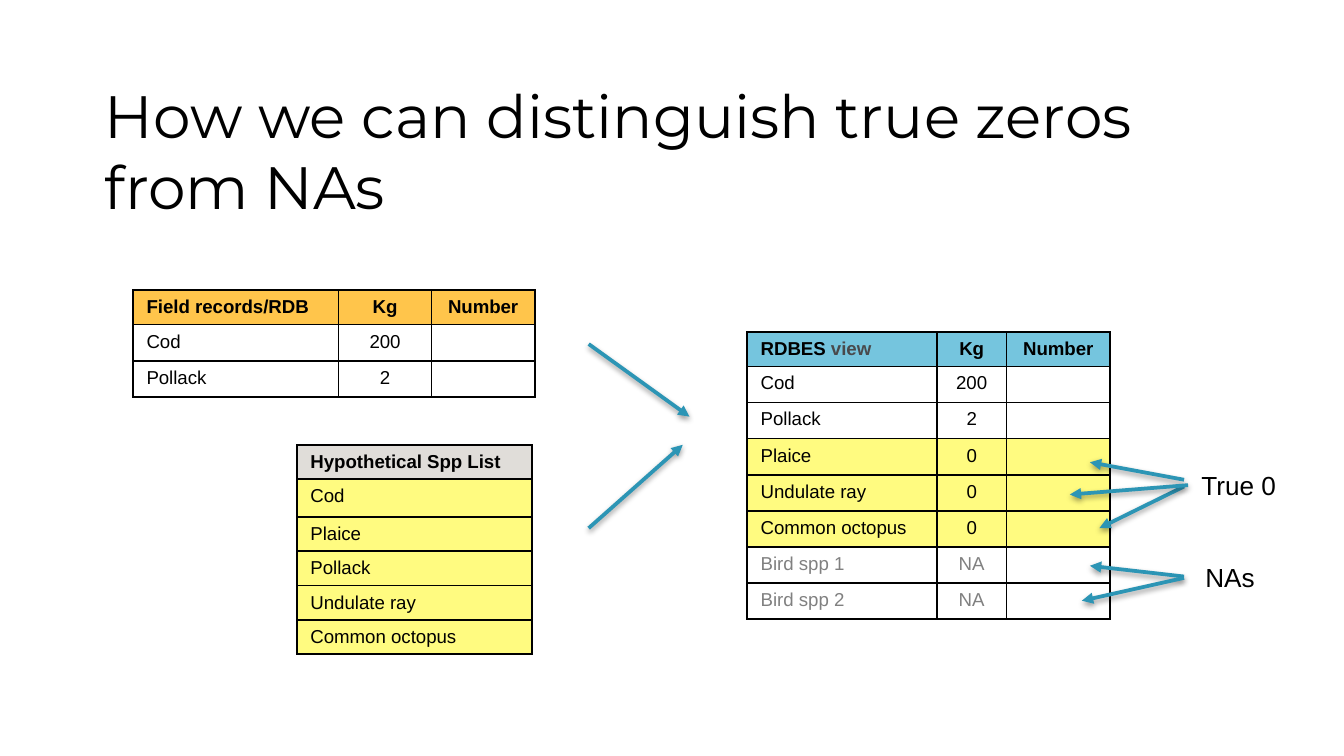
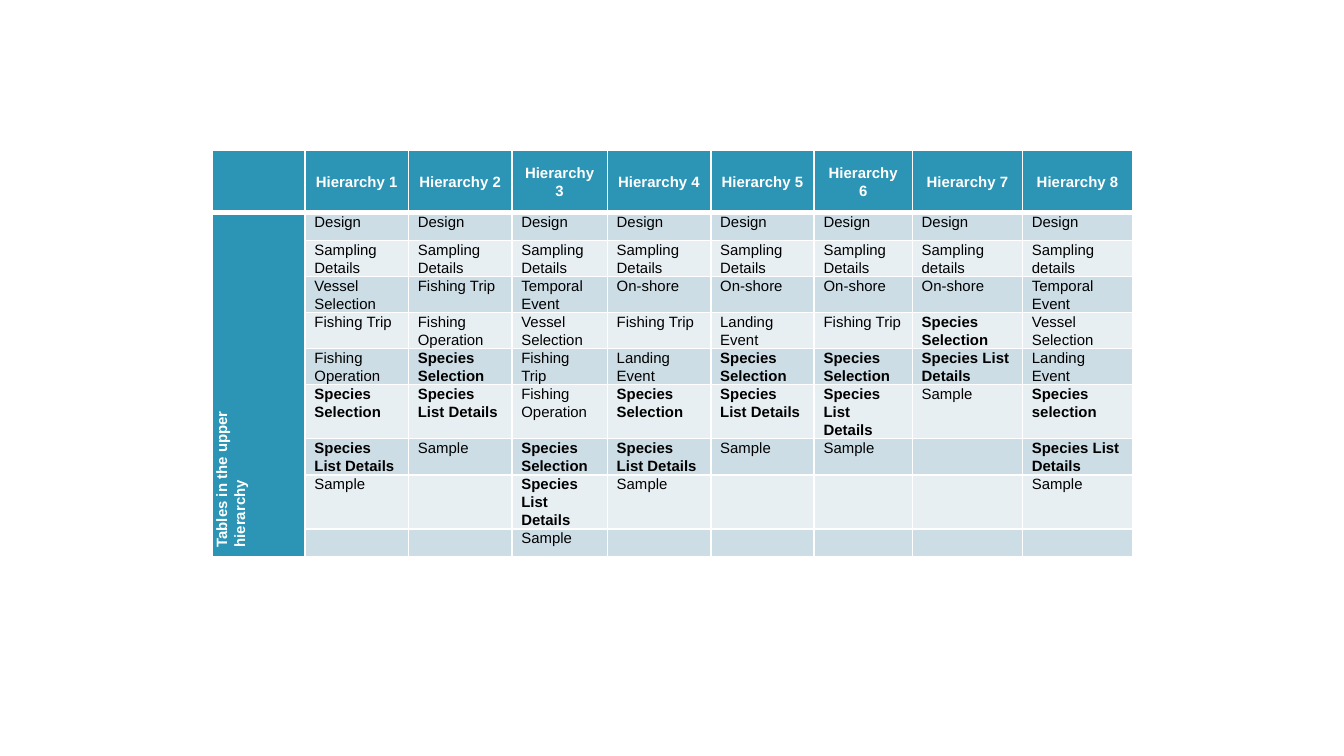
from itertools import zip_longest

from lxml import etree
from pptx import Presentation
from pptx.dml.color import RGBColor
from pptx.enum.shapes import MSO_CONNECTOR
from pptx.enum.text import MSO_ANCHOR, MSO_AUTO_SIZE, PP_ALIGN
from pptx.oxml.ns import qn
from pptx.util import Inches, Pt

# Enum members
LEFT, CENTER = PP_ALIGN.LEFT, PP_ALIGN.CENTER
TOP, MIDDLE, BOTTOM = MSO_ANCHOR.TOP, MSO_ANCHOR.MIDDLE, MSO_ANCHOR.BOTTOM
NO_FIT, GROW = MSO_AUTO_SIZE.NONE, MSO_AUTO_SIZE.SHAPE_TO_FIT_TEXT
STRAIGHT = MSO_CONNECTOR.STRAIGHT
LEFT_SIDE = 1

# Layouts of the default template
TITLE_ONLY, BLANK = 5, 6

# Colours
BLACK = RGBColor(0x00, 0x00, 0x00)
WHITE = RGBColor(0xFF, 0xFF, 0xFF)
GREY = RGBColor(0x80, 0x80, 0x80)
DARK_GREY = RGBColor(0x49, 0x4A, 0x4C)
TEAL = RGBColor(0x2C, 0x95, 0xB5)
SKY = RGBColor(0x75, 0xC5, 0xDE)
YELLOW = RGBColor(0xFF, 0xFB, 0x80)
AMBER = RGBColor(0xFF, 0xC5, 0x4B)
STONE = RGBColor(0xE0, 0xDD, 0xD9)
BANDS = (RGBColor(0xCD, 0xDD, 0xE5), RGBColor(0xE8, 0xEF, 0xF3))

TITLE_FONT, BODY_FONT = "Montserrat", "Arial"

# The slide is a grid of 100 columns by 56.25 rows
COLUMNS, ROWS = 100, 56.25
ROW_HEIGHT = 2.1

# Slide 1: each row is its cells, fill and text colour
FIELD_RECORDS = [
    (["Field records/RDB", "Kg", "Number"], AMBER, BLACK),
    (["Cod", "200", ""], None, BLACK),
    (["Pollack", "2", ""], None, BLACK),
]
SPECIES_LIST = [(["Hypothetical Spp List"], STONE, BLACK)] + [
    ([species], YELLOW, BLACK)
    for species in ("Cod", "Plaice", "Pollack", "Undulate ray", "Common octopus")
]
DATABASE_VIEW = [
    ([[("RDBES ", BLACK), ("view", DARK_GREY)], "Kg", "Number"], SKY, BLACK),
    (["Cod", "200", ""], None, BLACK),
    (["Pollack", "2", ""], None, BLACK),
    (["Plaice", "0", ""], YELLOW, BLACK),
    (["Undulate ray", "0", ""], YELLOW, BLACK),
    (["Common octopus", "0", ""], YELLOW, BLACK),
    (["Bird spp 1", "NA", ""], None, GREY),
    (["Bird spp 2", "NA", ""], None, GREY),
]
ARROWS = [
    ((43.8, 25.6), (51.3, 31)),
    ((43.8, 39.3), (50.8, 33.1)),
    ((88.1, 35.7), (81.1, 34.4)),
    ((88.1, 36.2), (81.8, 39.3)),
    ((88.1, 42.9), (81.1, 42.1)),
    ((88.1, 43), (80.5, 44.7)),
]

# Slide 2: the tables of each hierarchy, from top to bottom
SPECIES_TABLES = ["Species Selection", "Species List Details", "Sample"]
HIERARCHIES = [
    ["Design", "Sampling Details", "Vessel Selection", "Fishing Trip",
     "Fishing Operation", *SPECIES_TABLES],
    ["Design", "Sampling Details", "Fishing Trip", "Fishing Operation",
     *SPECIES_TABLES],
    ["Design", "Sampling Details", "Temporal Event", "Vessel Selection",
     "Fishing Trip", "Fishing Operation", *SPECIES_TABLES],
    ["Design", "Sampling Details", "On-shore", "Fishing Trip",
     "Landing Event", *SPECIES_TABLES],
    ["Design", "Sampling Details", "On-shore", "Landing Event", *SPECIES_TABLES],
    ["Design", "Sampling Details", "On-shore", "Fishing Trip", *SPECIES_TABLES],
    ["Design", "Sampling details", "On-shore", *SPECIES_TABLES],
    ["Design", "Sampling details", "Temporal Event", "Vessel Selection",
     "Landing Event", "Species selection", *SPECIES_TABLES[1:]],
]


def grid(*units):
    """Turn grid units into slide lengths."""
    return [Inches(unit * 10 / COLUMNS) for unit in units]


def write_text(text_frame, text, size=10, color=BLACK, bold=False, font=BODY_FONT,
               align=LEFT, spacing=None):
    """Write one paragraph; text is a string or a list of (text, colour)."""
    paragraph = text_frame.paragraphs[0]
    paragraph.alignment = align
    if spacing:
        paragraph.line_spacing = spacing
    if not text:
        etree.SubElement(paragraph._p, qn("a:endParaRPr"), sz=str(size * 100))
        return
    pieces = [(text, color)] if isinstance(text, str) else text
    for piece, piece_color in pieces:
        for number, line in enumerate(piece.split("\n")):
            if number:
                paragraph.add_line_break()
            run = paragraph.add_run()
            run.text = line
            run.font.name = font
            run.font.size = Pt(size)
            run.font.bold = bold
            run.font.color.rgb = piece_color


def add_solid(parent, color):
    solid = etree.SubElement(parent, qn("a:solidFill"))
    return etree.SubElement(solid, qn("a:srgbClr"), val=str(color))


def format_cell(cell, fill, border, bottom_width=1):
    """Set the four borders, then the fill."""
    properties = cell._tc.get_or_add_tcPr()
    for side in "LRTB":
        width = bottom_width if side == "B" else 1
        line = etree.SubElement(properties, qn("a:ln" + side), w=str(Pt(width)))
        add_solid(line, border)
    if fill is None:
        cell.fill.background()
    else:
        cell.fill.solid()
        cell.fill.fore_color.rgb = fill


def add_plain_table(slide, left, top, widths, heights):
    """Add a table without the banding of its style."""
    frame = slide.shapes.add_table(
        len(heights), len(widths), *grid(left, top, sum(widths), sum(heights)))
    table = frame.table
    table.first_row = table.horz_banding = False
    for column, width in zip(table.columns, grid(*widths)):
        column.width = width
    for row, height in zip(table.rows, grid(*heights)):
        row.height = height
    return table


def add_record_table(slide, left, top, widths, records, heights=None):
    heights = heights or [ROW_HEIGHT] * len(records)
    table = add_plain_table(slide, left, top, widths, heights)
    for row, (texts, fill, color) in enumerate(records):
        for column, text in enumerate(texts):
            cell = table.cell(row, column)
            format_cell(cell, fill, BLACK)
            write_text(cell.text_frame, text, color=color, bold=row == 0,
                       align=CENTER if column else LEFT)


def add_label(slide, text, left, top, width, height):
    label = slide.shapes.add_textbox(*grid(left, top, width, height))
    label.text_frame.word_wrap = False
    label.text_frame.auto_size = GROW
    write_text(label.text_frame, text, size=14)
    return label


def add_arrow(slide, start, end):
    """Add a teal arrow with a soft shadow below it."""
    arrow = slide.shapes.add_connector(STRAIGHT, *grid(*start, *end))
    arrow.line.color.rgb = TEAL
    arrow.line.width = Pt(2)
    properties = arrow._element.spPr
    etree.SubElement(properties.find(qn("a:ln")), qn("a:tailEnd"), type="triangle")
    effects = etree.SubElement(properties, qn("a:effectLst"))
    shadow = etree.SubElement(
        effects, qn("a:outerShdw"), blurRad=str(Pt(3.1)), dist=str(Pt(1.6)),
        dir="5400000", rotWithShape="0")
    shadow_color = etree.SubElement(shadow, qn("a:srgbClr"), val=str(BLACK))
    etree.SubElement(shadow_color, qn("a:alpha"), val="38000")
    return arrow


def set_title(slide, text, left, top, width, height):
    title = slide.shapes.title
    title.left, title.top, title.width, title.height = grid(left, top, width, height)
    title.text_frame.word_wrap = True
    title.text_frame.auto_size = NO_FIT
    title.text_frame.vertical_anchor = BOTTOM
    write_text(title.text_frame, text, size=32, font=TITLE_FONT)


def write_hierarchy_cell(cell, text, fill, color=BLACK, bold=False, align=LEFT,
                         anchor=TOP, bottom_width=1):
    cell.margin_left, cell.margin_right = grid(0.7, 0.7)
    cell.margin_top = cell.margin_bottom = 0
    cell.vertical_anchor = anchor
    format_cell(cell, fill, WHITE, bottom_width)
    write_text(cell.text_frame, text, size=8, color=color, bold=bold,
               align=align, spacing=1.07)


def build_zeros_slide(presentation):
    slide = presentation.slides.add_slide(presentation.slide_layouts[TITLE_ONLY])
    set_title(slide, "How we can distinguish true zeros from NAs", 6.8, 10.4, 90, 6.6)

    # Source tables and the combined view
    add_record_table(slide, 55.6, 24.7, [14.1, 5.2, 7.7], DATABASE_VIEW)
    add_record_table(slide, 22.1, 33.1, [17.5], SPECIES_LIST,
                     [ROW_HEIGHT, 2.8] + [ROW_HEIGHT] * 4)
    add_record_table(slide, 9.9, 21.6, [15.3, 6.9, 7.7], FIELD_RECORDS)

    # Labels and arrows
    true_zero = add_label(slide, "True 0", 88.4, 34.4, 7.6, 3.4)
    add_label(slide, "NAs", 88.7, 41.3, 5.7, 3.4)
    for start, end in ARROWS:
        add_arrow(slide, start, end)
    add_arrow(slide, (88.4, 36.1), (79.6, 36.8)).begin_connect(true_zero, LEFT_SIDE)


def build_hierarchy_slide(presentation):
    slide = presentation.slides.add_slide(presentation.slide_layouts[BLANK])
    widths = [6.9, 7.7, 7.7, 7.1, 7.7, 7.7, 7.3, 8.2, 8.2]
    body_rows = list(zip_longest(*HIERARCHIES, fillvalue=""))
    table = add_plain_table(slide, 15.8, 11.2, widths,
                            [4.6] + [ROW_HEIGHT] * len(body_rows))

    # Header row
    headers = [""] + [f"Hierarchy {number + 1}" for number in range(len(HIERARCHIES))]
    for column, header in enumerate(headers):
        write_hierarchy_cell(table.cell(0, column), header, TEAL, color=WHITE,
                             bold=True, align=CENTER, anchor=MIDDLE, bottom_width=3)

    # Vertical side heading
    side = table.cell(1, 0)
    side.merge(table.cell(len(body_rows), 0))
    write_hierarchy_cell(side, "Tables in the upper\nhierarchy", TEAL,
                         color=WHITE, bold=True)
    side._tc.get_or_add_tcPr().set("vert", "vert270")

    # Banded body, with the species tables in bold
    for row, texts in enumerate(body_rows):
        for column, text in enumerate(texts, start=1):
            write_hierarchy_cell(table.cell(row + 1, column), text, BANDS[row % 2],
                                 bold=text.startswith("Species"))


def main():
    presentation = Presentation()
    presentation.slide_width, presentation.slide_height = grid(COLUMNS, ROWS)
    build_zeros_slide(presentation)
    build_hierarchy_slide(presentation)
    presentation.save("out.pptx")


if __name__ == "__main__":
    main()
